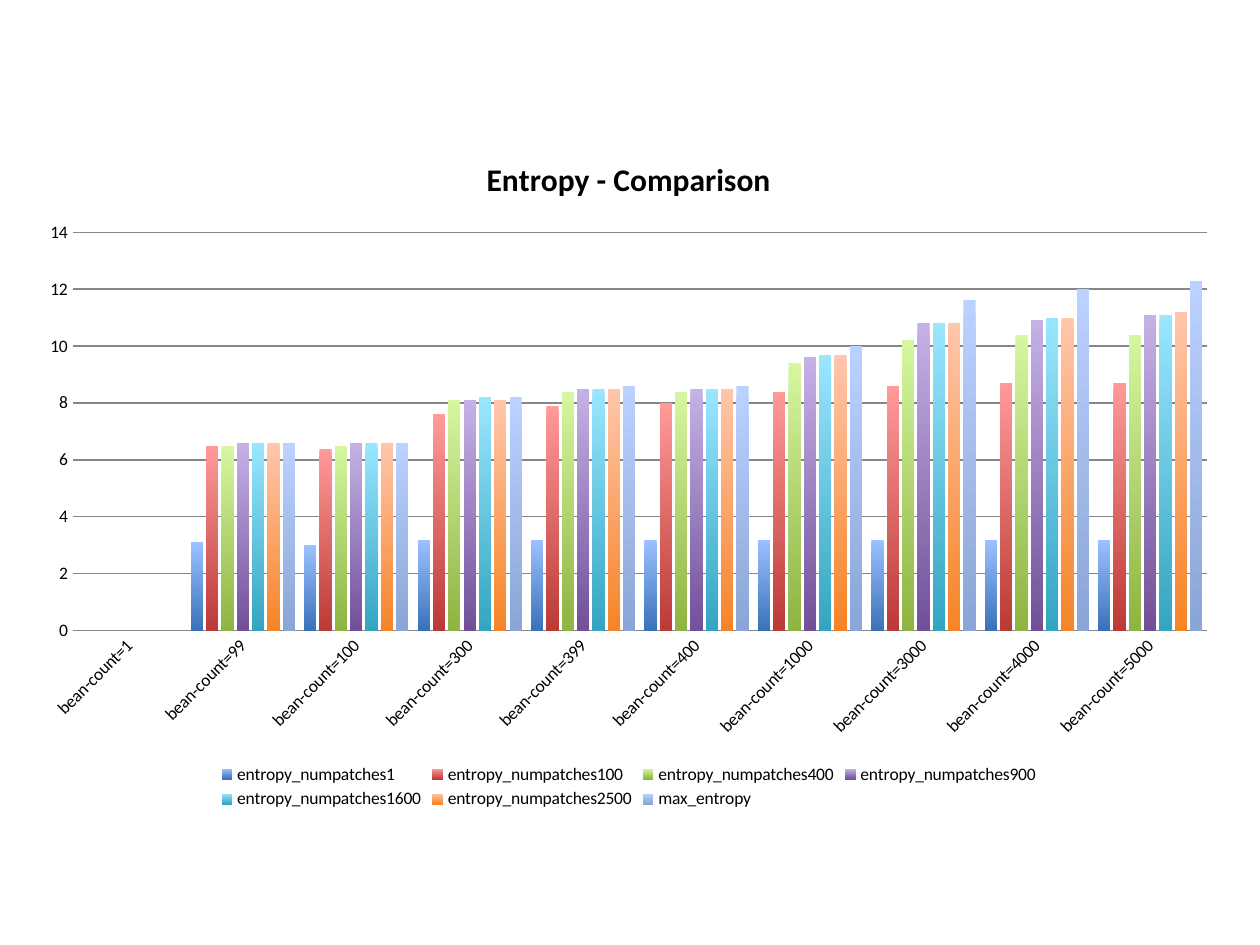
"""Build a slide with a clustered column chart comparing entropy values."""
from pptx import Presentation
from pptx.chart.data import CategoryChartData
from pptx.dml.color import RGBColor
from pptx.enum.chart import XL_CHART_TYPE, XL_LEGEND_POSITION, XL_TICK_MARK
from pptx.util import Pt

COLUMNS = XL_CHART_TYPE.COLUMN_CLUSTERED
BOTTOM = XL_LEGEND_POSITION.BOTTOM
NO_TICKS = XL_TICK_MARK.NONE

FONT = "Calibri"
BLACK = RGBColor(0x00, 0x00, 0x00)
GRAY = RGBColor(0x86, 0x86, 0x86)
WHITE = RGBColor(0xFF, 0xFF, 0xFF)

TITLE = "Entropy - Comparison"
BEAN_COUNTS = [1, 99, 100, 300, 399, 400, 1000, 3000, 4000, 5000]
SERIES = [
    ("entropy_numpatches1", [0, 3.1, 3, 3.2, 3.2, 3.2, 3.2, 3.2, 3.2, 3.2],
     RGBColor(0x9B, 0xC1, 0xFF), RGBColor(0x3A, 0x72, 0xBA)),
    ("entropy_numpatches100", [0, 6.5, 6.4, 7.6, 7.9, 8, 8.4, 8.6, 8.7, 8.7],
     RGBColor(0xFF, 0x9A, 0x99), RGBColor(0xBB, 0x3A, 0x36)),
    ("entropy_numpatches400", [0, 6.5, 6.5, 8.1, 8.4, 8.4, 9.4, 10.2, 10.4, 10.4],
     RGBColor(0xD6, 0xF6, 0xA0), RGBColor(0x8E, 0xB4, 0x42)),
    ("entropy_numpatches900", [0, 6.6, 6.6, 8.1, 8.5, 8.5, 9.6, 10.8, 10.9, 11.1],
     RGBColor(0xC5, 0xB1, 0xE6), RGBColor(0x71, 0x50, 0x99)),
    ("entropy_numpatches1600", [0, 6.6, 6.6, 8.2, 8.5, 8.5, 9.7, 10.8, 11, 11.1],
     RGBColor(0x9A, 0xE6, 0xFF), RGBColor(0x34, 0xA5, 0xC1)),
    ("entropy_numpatches2500", [0, 6.6, 6.6, 8.1, 8.5, 8.5, 9.7, 10.8, 11, 11.2],
     RGBColor(0xFF, 0xC6, 0xAC), RGBColor(0xF6, 0x84, 0x26)),
    ("max_entropy", [0, 6.6, 6.6, 8.2, 8.6, 8.6, 10, 11.6, 12, 12.3],
     RGBColor(0xBB, 0xD1, 0xFF), RGBColor(0x8B, 0xA6, 0xD6)),
]


def style_font(font, size, bold=False):
    font.name = FONT
    font.size = Pt(size)
    font.bold = bold
    font.color.rgb = BLACK


def add_entropy_chart(slide):
    data = CategoryChartData(number_format="General")
    data.categories = [f"bean-count={count}" for count in BEAN_COUNTS]
    for name, values, _, _ in SERIES:
        data.add_series(name, values)
    return slide.shapes.add_chart(
        COLUMNS, Pt(15), Pt(75), Pt(688.5), Pt(390), data).chart


def style_title_and_legend(chart):
    style_font(chart.font, 10)
    chart.has_title = True
    paragraph = chart.chart_title.text_frame.paragraphs[0]
    paragraph.text = TITLE
    style_font(paragraph.font, 18, bold=True)
    chart.chart_title.include_in_layout = False
    chart.has_legend = True
    chart.legend.position = BOTTOM
    chart.legend.include_in_layout = False
    style_font(chart.legend.font, 10)


def style_axes(chart):
    for axis in (chart.category_axis, chart.value_axis):
        axis.major_tick_mark = axis.minor_tick_mark = NO_TICKS
        style_font(axis.tick_labels.font, 10)
    category_axis, value_axis = chart.category_axis, chart.value_axis
    category_axis.tick_labels.font._element.getparent().getparent().getparent()
    for body in category_axis._element.xpath("c:txPr/a:bodyPr"):
        body.set("rot", "-2700000")
        body.set("vert", "horz")
    value_axis.minimum_scale, value_axis.maximum_scale = 0, 14
    value_axis.major_unit = 2
    value_axis.has_major_gridlines = True
    value_axis.format.line.fill.background()
    for line in (category_axis.format.line, value_axis.major_gridlines.format.line):
        line.color.rgb = GRAY
        line.width = Pt(0.75)


def style_columns(chart):
    plot = chart.plots[0]
    plot.gap_width, plot.overlap = 75, -25
    plot.vary_by_categories = False
    for series, (_, _, top, bottom) in zip(plot.series, SERIES):
        fill = series.format.fill
        fill.gradient()
        fill.gradient_angle = 270
        for stop, color in zip(fill.gradient_stops, (top, bottom)):
            stop.color.rgb = color
        series.format.line.fill.background()
        series.invert_if_negative = False


def main():
    presentation = Presentation()
    presentation.slide_width, presentation.slide_height = Pt(720), Pt(540)
    slide = presentation.slides.add_slide(presentation.slide_layouts[6])
    slide.background.fill.solid()
    slide.background.fill.fore_color.rgb = WHITE
    chart = add_entropy_chart(slide)
    style_title_and_legend(chart)
    style_axes(chart)
    style_columns(chart)
    presentation.save("out.pptx")


if __name__ == "__main__":
    main()
